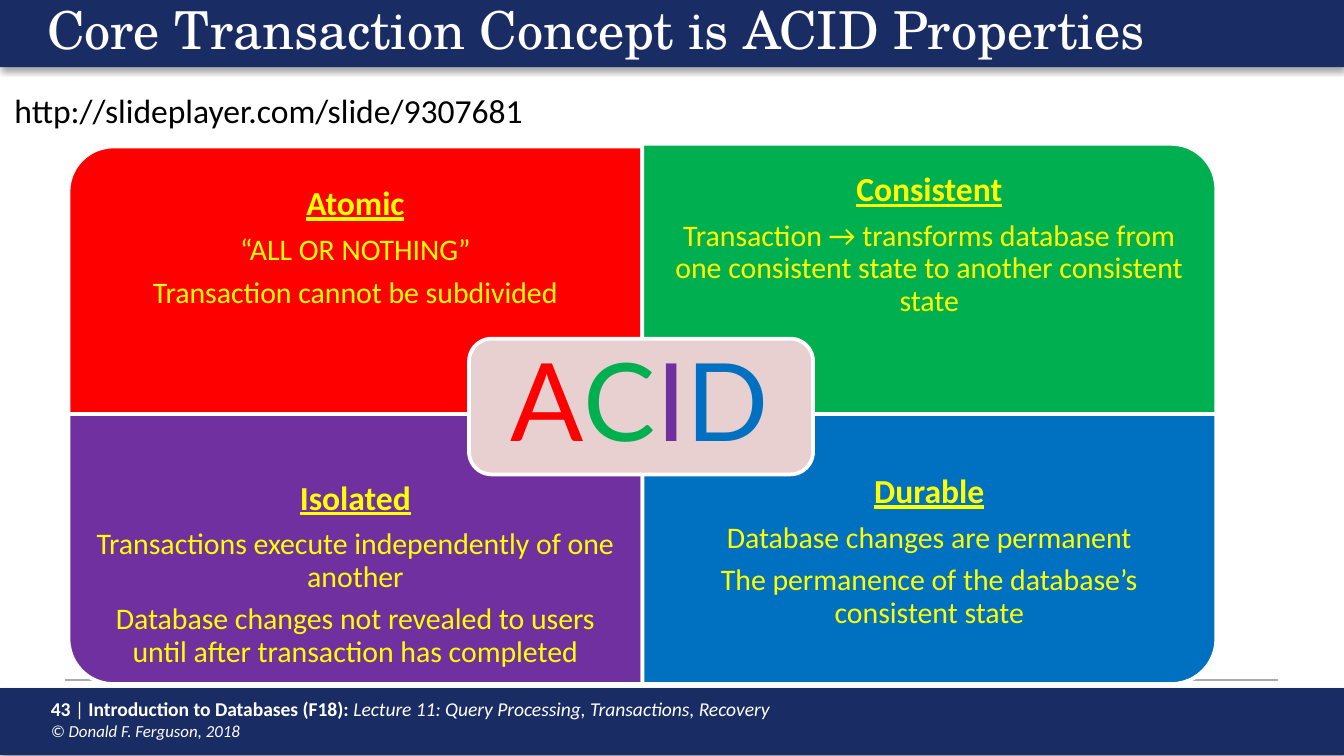
from dataclasses import dataclass

from lxml.etree import SubElement
from pptx import Presentation
from pptx.dml.color import RGBColor
from pptx.enum.shapes import MSO_CONNECTOR, MSO_SHAPE
from pptx.enum.text import MSO_ANCHOR, MSO_AUTO_SIZE, PP_ALIGN
from pptx.oxml.ns import qn
from pptx.util import Inches, Pt


@dataclass(frozen=True)
class Theme:
    navy: str = "1A2C64"
    white: str = "FFFFFF"
    black: str = "000000"
    grey: str = "AAAAAA"
    yellow: str = "FFFF00"
    red: str = "FF0000"
    green: str = "00B050"
    purple: str = "7030A0"
    blue: str = "0070C0"
    pink: str = "E8D0D0"
    serif: str = "TeX Gyre Schola"
    sans: str = "Calibri"
    badge: str = "Lato"
    title: float = 28
    head: float = 18
    body: float = 16
    foot: float = 10.5
    note: float = 9
    big: float = 58


@dataclass(frozen=True)
class Box:
    left: float
    top: float
    width: float
    height: float

    def emu(self) -> list:
        return [Inches(v) for v in (self.left, self.top, self.width, self.height)]


@dataclass(frozen=True)
class Panel:
    left: float
    top: float
    turn: int
    fill: str
    text_top: float
    pad_top: float
    anchor: MSO_ANCHOR
    head: str
    lines: tuple


T = Theme()
WIDE, HIGH, TEXT_HIGH = 4.27, 2.01, 1.51
LEFT, MID = 0.51, 4.78
PAD = 0.14

PANELS = [
    Panel(LEFT, 1.09, 270, T.red, 1.09, PAD, MSO_ANCHOR.MIDDLE, "Atomic",
          ("“ALL OR NOTHING”", "Transaction cannot be subdivided")),
    Panel(MID, 1.07, 0, T.green, 1.07, PAD, MSO_ANCHOR.MIDDLE, "Consistent",
          ("Transaction → transforms database from one consistent state "
           "to another consistent state",)),
    Panel(LEFT, 3.08, 180, T.purple, 3.58, 0, MSO_ANCHOR.TOP, "Isolated",
          ("Transactions execute independently of one another",
           "Database changes not revealed to users until after "
           "transaction has completed")),
    Panel(MID, 3.08, 90, T.blue, 3.53, 0, MSO_ANCHOR.TOP, "Durable",
          ("Database changes are permanent",
           "The permanence of the database’s consistent state")),
]


def style(font, size: float, color: str, name: str = T.sans) -> None:
    font.size, font.name = Pt(size), name
    font.color.rgb = RGBColor.from_string(color)


def draw_shape(slide, kind, box: Box, fill: str, edge: str = ""):
    shape = slide.shapes.add_shape(kind, *box.emu())
    shape.shadow.inherit = False
    shape.fill.solid()
    shape.fill.fore_color.rgb = RGBColor.from_string(fill)
    if edge:
        shape.line.color.rgb = RGBColor.from_string(edge)
        shape.line.width = Pt(2)
    else:
        shape.line.fill.background()
    return shape


def draw_bar(slide, top: float) -> None:
    bar = draw_shape(slide, MSO_SHAPE.RECTANGLE, Box(0, top, 10, 0.5), T.navy)
    effects = bar.element.spPr.find(qn("a:effectLst"))
    shade = SubElement(effects, qn("a:outerShdw"), blurRad=str(Pt(3.1)),
                       dist=str(Pt(1.8)), dir="5400000", rotWithShape="0")
    color = SubElement(shade, qn("a:srgbClr"), val=T.black)
    SubElement(color, qn("a:alpha"), val="35000")


def add_text(slide, box: Box, pads: tuple = (0.1, 0.05, 0.1, 0.05),
             anchor=MSO_ANCHOR.TOP, wrap: bool = True):
    frame = slide.shapes.add_textbox(*box.emu()).text_frame
    frame.word_wrap, frame.vertical_anchor = wrap, anchor
    (frame.margin_left, frame.margin_top,
     frame.margin_right, frame.margin_bottom) = [Inches(p) for p in pads]
    return frame


def center(para, size: float) -> None:
    para.alignment, para.line_spacing = PP_ALIGN.CENTER, 0.9
    para.space_after = Pt(0.35 * size)


def draw_panel(slide, panel: Panel) -> None:
    # A quarter turn swaps the sides about the same centre
    wide, high = (HIGH, WIDE) if panel.turn % 180 else (WIDE, HIGH)
    box = Box(panel.left + (WIDE - wide) / 2, panel.top + (HIGH - high) / 2,
              wide, high)
    shape = draw_shape(slide, MSO_SHAPE.ROUND_1_RECTANGLE, box, panel.fill, T.white)
    shape.rotation = panel.turn

    frame = add_text(slide, Box(panel.left, panel.text_top, WIDE, TEXT_HIGH),
                     (PAD, panel.pad_top, PAD, PAD), panel.anchor)
    head = frame.paragraphs[0]
    head.text = panel.head
    center(head, T.head)
    style(head.font, T.head, T.yellow)
    head.font.bold = head.font.underline = True
    for line in panel.lines:
        para = frame.add_paragraph()
        para.text = line
        center(para, T.body)
        style(para.font, T.body, T.yellow)


def draw_badge(slide) -> None:
    draw_shape(slide, MSO_SHAPE.ROUNDED_RECTANGLE, Box(3.49, 2.52, 2.56, 1.01),
               T.pink, T.white)
    frame = add_text(slide, Box(3.53, 2.57, 2.46, 0.91), (0.24,) * 4,
                     MSO_ANCHOR.MIDDLE)
    para = frame.paragraphs[0]
    center(para, T.big)
    for panel in PANELS:
        run = para.add_run()
        run.text = panel.head[0]
        style(run.font, T.big, panel.fill, T.badge)


def draw_footer(slide) -> None:
    draw_bar(slide, 5.12)
    para = add_text(slide, Box(0.28, 5.14, 7.42, 0.43)).paragraphs[0]
    parts = [
        ("43 ", T.foot, True, False),
        ("|", T.foot, False, False),
        (" Introduction to Databases (F18): ", T.foot, True, False),
        ("Lecture 11: Query Processing, Transactions, Recovery", T.foot, False, True),
        ("© Donald F. Ferguson, 2018", T.note, False, True),
    ]
    for text, size, bold, slant in parts:
        if size == T.note:
            para.add_line_break()
        run = para.add_run()
        run.text = text
        style(run.font, size, T.white)
        run.font.bold, run.font.italic = bold, slant


def draw_rule(slide) -> None:
    rule = slide.shapes.add_connector(MSO_CONNECTOR.STRAIGHT, Inches(0.48),
                                      Inches(5.06), Inches(9.51), Inches(5.06))
    rule.line.color.rgb = RGBColor.from_string(T.grey)
    rule.line.width = Pt(0.75)
    SubElement(rule.element.spPr, qn("a:effectLst"))


def set_title(slide) -> None:
    title = slide.shapes.title
    title.left, title.top, title.width, title.height = Box(0.25, -0.02, 9.06, 0.42).emu()
    frame = title.text_frame
    frame.text = "Core Transaction Concept is ACID Properties"
    frame.auto_size, frame.vertical_anchor = MSO_AUTO_SIZE.NONE, MSO_ANCHOR.TOP
    para = frame.paragraphs[0]
    para.alignment, para.line_spacing = PP_ALIGN.LEFT, 0.9
    style(para.font, T.title, T.white, T.serif)
    # Bring the title in front of its bar
    title.element.getparent().append(title.element)


def main() -> None:
    deck = Presentation()
    # Widescreen, 16 to 9
    deck.slide_width, deck.slide_height = Inches(10), Inches(10) * 9 // 16
    slide = deck.slides.add_slide(deck.slide_layouts[5])

    # Frame of the page
    draw_footer(slide)
    draw_bar(slide, 0)
    draw_rule(slide)
    set_title(slide)

    # Four properties around the badge
    for panel in PANELS:
        draw_panel(slide, panel)
    draw_badge(slide)

    # Web address
    link = add_text(slide, Box(0.01, 0.62, 4.03, 0.4), wrap=False).paragraphs[0]
    link.text = "http://slideplayer.com/slide/9307681"
    style(link.font, T.head, T.black)

    deck.save("out.pptx")


if __name__ == "__main__":
    main()
